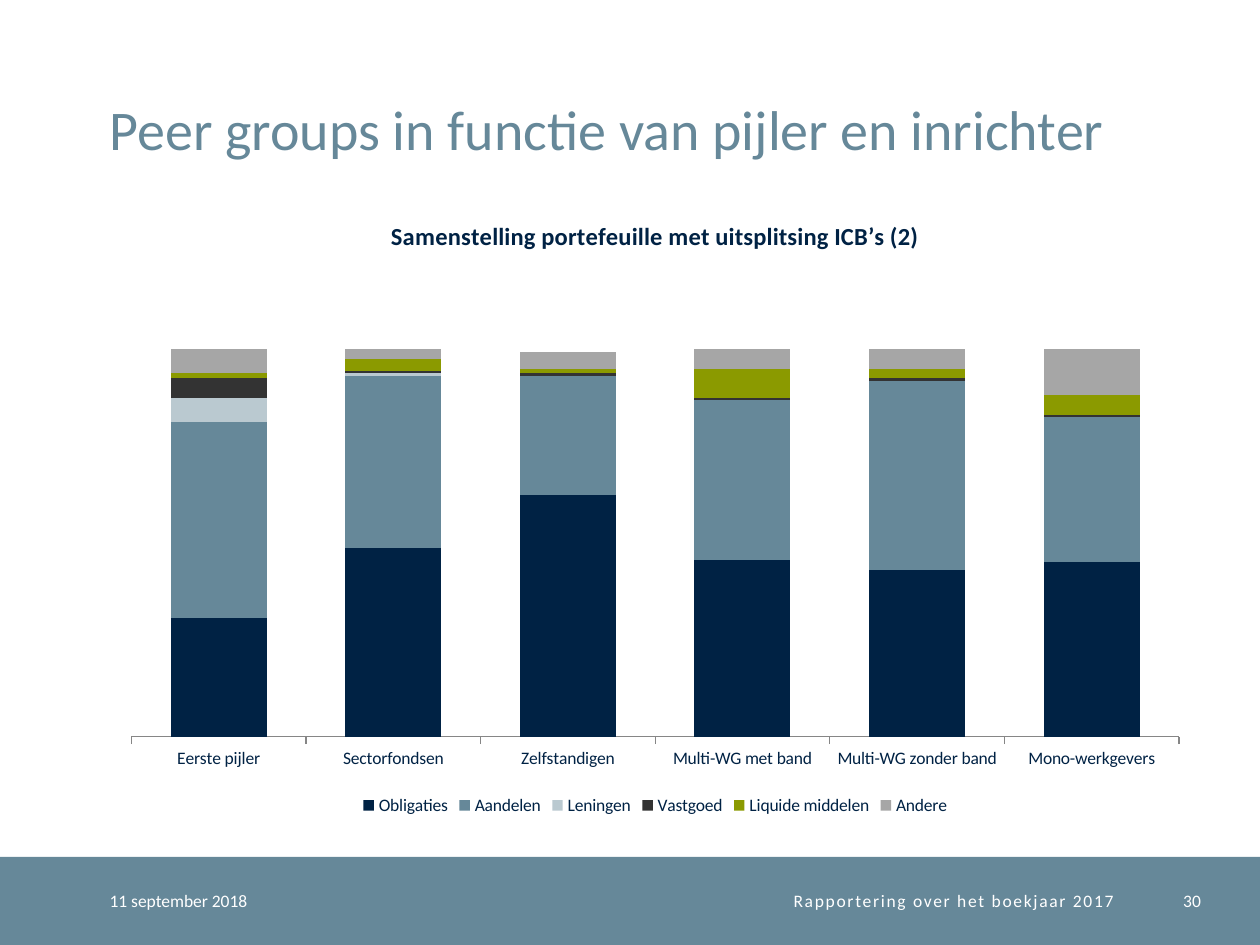
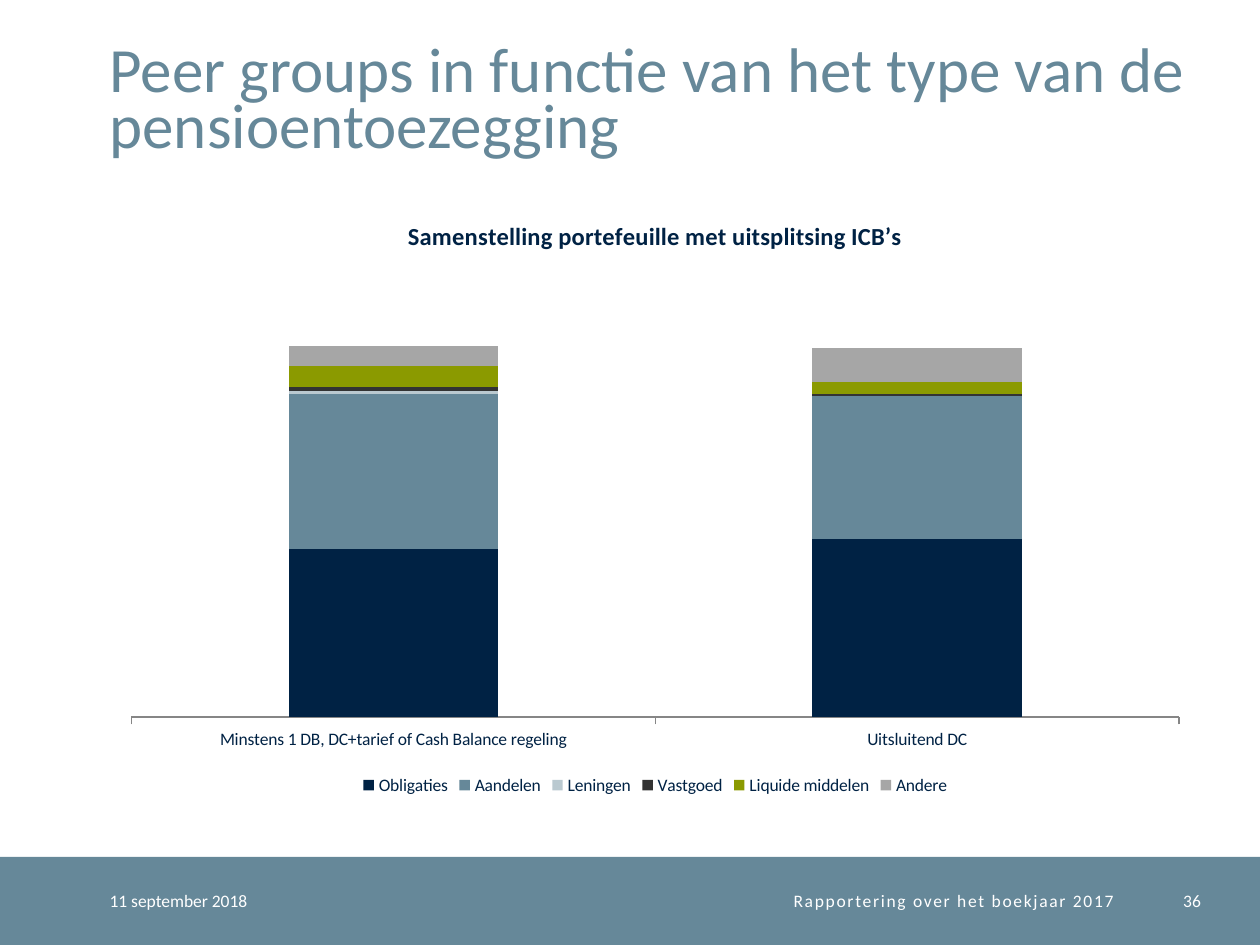
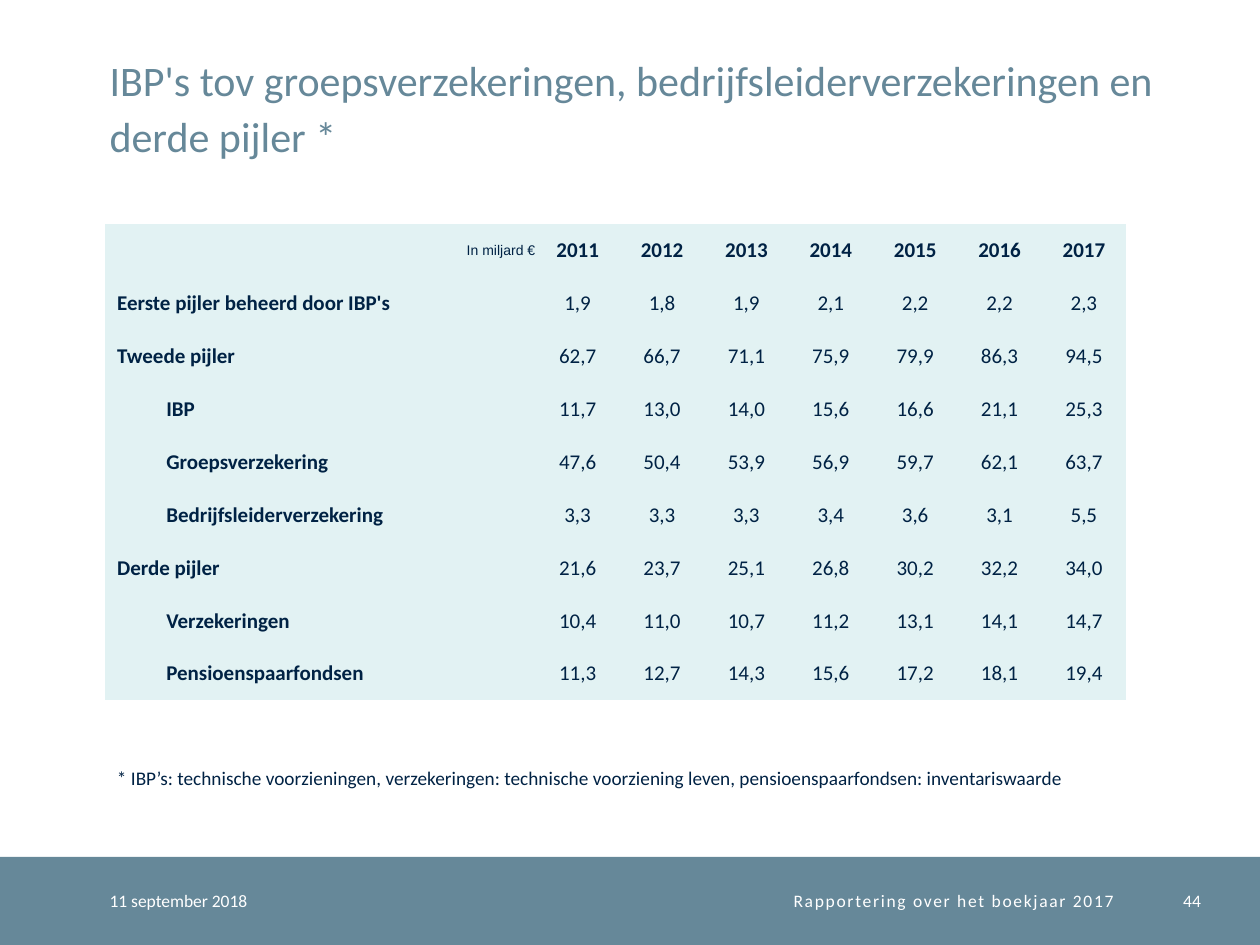
from dataclasses import dataclass

from pptx import Presentation
from pptx.chart.data import CategoryChartData
from pptx.dml.color import RGBColor
from pptx.enum.chart import XL_CHART_TYPE, XL_LEGEND_POSITION, XL_TICK_MARK
from pptx.enum.shapes import MSO_SHAPE
from pptx.enum.text import MSO_ANCHOR, PP_ALIGN
from pptx.util import Inches, Pt

LEFT, CENTER, RIGHT = PP_ALIGN.LEFT, PP_ALIGN.CENTER, PP_ALIGN.RIGHT
TOP, MIDDLE, BOTTOM = MSO_ANCHOR.TOP, MSO_ANCHOR.MIDDLE, MSO_ANCHOR.BOTTOM
STACKED = XL_CHART_TYPE.COLUMN_STACKED
LEGEND_BOTTOM = XL_LEGEND_POSITION.BOTTOM
TICK_OUTSIDE, TICK_NONE = XL_TICK_MARK.OUTSIDE, XL_TICK_MARK.NONE
RECTANGLE = MSO_SHAPE.RECTANGLE
NO_STYLE_NO_GRID = "{2D5ABB26-0587-4C30-8999-92F81FD0307C}"


@dataclass(frozen=True)
class Theme:
    font: str = "Calibri"
    unit_font: str = "Arial"
    navy: str = "002244"
    steel: str = "668899"
    white: str = "FFFFFF"
    axis: str = "868686"
    table_fill: str = "E2F2F3"
    footer_size: int = 10
    chart_size: int = 10
    chart_title_size: int = 14
    table_size: int = 12
    unit_size: int = 8
    note_size: int = 11
    title_leading: int = 32
    asset_colors: tuple = ("002244", "668899", "BAC9D0", "333333", "8B9A00", "A6A6A6")


ASSETS = ("Obligaties", "Aandelen", "Leningen", "Vastgoed", "Liquide middelen", "Andere")

PEERS_BY_ORGANISER = {
    "Eerste pijler": (49, 81, 10, 8, 2, 10),
    "Sectorfondsen": (78, 71, 1, 1, 5, 4),
    "Zelfstandigen": (100, 49, 0, 1, 2, 7),
    "Multi-WG met band": (73, 66, 0, 1, 12, 8),
    "Multi-WG zonder band": (69, 78, 0, 1, 4, 8),
    "Mono-werkgevers": (72, 60, 0, 1, 8, 19),
}
PEERS_BY_PLEDGE = {
    "Minstens 1 DB, DC+tarief of Cash Balance regeling": (94, 87, 2, 2, 12, 11),
    "Uitsluitend DC": (100, 80, 0, 1, 7, 19),
}

YEARS = range(2011, 2018)
# Label, indent level, amounts per year
PILLARS = (
    ("Eerste pijler beheerd door IBP's", 0, "1,9 1,8 1,9 2,1 2,2 2,2 2,3"),
    ("Tweede pijler", 0, "62,7 66,7 71,1 75,9 79,9 86,3 94,5"),
    ("IBP", 1, "11,7 13,0 14,0 15,6 16,6 21,1 25,3"),
    ("Groepsverzekering", 1, "47,6 50,4 53,9 56,9 59,7 62,1 63,7"),
    ("Bedrijfsleiderverzekering", 1, "3,3 3,3 3,3 3,4 3,6 3,1 5,5"),
    ("Derde pijler", 0, "21,6 23,7 25,1 26,8 30,2 32,2 34,0"),
    ("Verzekeringen", 1, "10,4 11,0 10,7 11,2 13,1 14,1 14,7"),
    ("Pensioenspaarfondsen", 1, "11,3 12,7 14,3 15,6 17,2 18,1 19,4"),
)
INDENTS = (0.1, 0.49)


def rgb(color):
    return RGBColor.from_string(color)


class Deck:
    def __init__(self, theme):
        self.theme = theme
        self.prs = Presentation()
        self.prs.slide_width, self.prs.slide_height = Inches(10), Inches(7.5)
        self.slide = None

    def style(self, font, size, color, bold=False, name=None):
        font.name = name or self.theme.font
        font.size, font.bold = Pt(size), bold
        font.color.rgb = rgb(color)

    def add_run(self, paragraph, text, size, color, align=LEFT, bold=False, name=None):
        paragraph.alignment = align
        run = paragraph.add_run()
        run.text = text
        self.style(run.font, size, color, bold, name)
        return run

    def text(self, box, text, size, color, align=LEFT, anchor=MIDDLE,
             inset=(0, 0), leading=None, spacing=None):
        frame = self.slide.shapes.add_textbox(*map(Inches, box)).text_frame
        frame.word_wrap, frame.vertical_anchor = True, anchor
        frame.margin_left = frame.margin_right = Inches(inset[0])
        frame.margin_top = frame.margin_bottom = Inches(inset[1])
        paragraph = frame.paragraphs[0]
        if leading:
            paragraph.line_spacing = Pt(leading)
        run = self.add_run(paragraph, text, size, color, align)
        if spacing:
            run._r.get_or_add_rPr().set("spc", str(spacing * 100))

    def band(self, box, color):
        band = self.slide.shapes.add_shape(RECTANGLE, *map(Inches, box))
        band.shadow.inherit = False
        band.fill.solid()
        band.fill.fore_color.rgb = rgb(color)
        band.line.fill.background()

    def new_slide(self, title, title_size, number):
        """Add a slide with its title and the shared footer."""
        theme = self.theme
        self.slide = self.prs.slides.add_slide(self.prs.slide_layouts[6])
        self.band((0, 6.8, 10, 0.7), theme.steel)
        self.text((0.87, 0.2, 8.63, 1.08), title, title_size, theme.steel,
                  anchor=BOTTOM, leading=theme.title_leading)
        for left, width, text, align, spacing in (
            (0.87, 1.77, "11 september 2018", LEFT, None),
            (2.64, 6.2, "Rapportering over het boekjaar 2017", RIGHT, 1),
            (9.04, 0.49, str(number), RIGHT, None),
        ):
            self.text((left, 6.8, width, 0.7), text, theme.footer_size, theme.white,
                      align, spacing=spacing)

    def portfolio_chart(self, title, peers, height, gap, axis_max):
        theme = self.theme
        data = CategoryChartData()
        data.categories = list(peers)
        for asset, values in zip(ASSETS, zip(*peers.values())):
            data.add_series(asset, values)
        box = map(Inches, (0.87, 1.55, 8.66, height))
        chart = self.slide.shapes.add_chart(STACKED, *box, data).chart
        self.style(chart.font, theme.chart_size, theme.navy)

        chart.has_title = True
        self.add_run(chart.chart_title.text_frame.paragraphs[0], title,
                     theme.chart_title_size, theme.navy, CENTER, bold=True)
        chart.chart_title.include_in_layout = False
        chart.has_legend = True
        chart.legend.position = LEGEND_BOTTOM
        chart.legend.include_in_layout = False

        amounts, groups = chart.value_axis, chart.category_axis
        amounts.visible = amounts.has_major_gridlines = False
        amounts.minimum_scale, amounts.maximum_scale = 0, axis_max
        groups.major_tick_mark, groups.minor_tick_mark = TICK_OUTSIDE, TICK_NONE
        groups.format.line.color.rgb = rgb(theme.axis)
        groups.format.line.width = Pt(0.75)

        plot = chart.plots[0]
        plot.gap_width, plot.overlap = gap, 100
        plot.vary_by_categories = False
        for series, color in zip(plot.series, theme.asset_colors):
            series.format.fill.solid()
            series.format.fill.fore_color.rgb = rgb(color)

    def cell(self, cell, text, align=CENTER, bold=False, indent=0, size=None, name=None):
        cell.fill.solid()
        cell.fill.fore_color.rgb = rgb(self.theme.table_fill)
        cell.vertical_anchor = MIDDLE
        cell.margin_left = cell.margin_right = cell.margin_top = cell.margin_bottom = 0
        paragraph = cell.text_frame.paragraphs[0]
        paragraph._p.get_or_add_pPr().set("marL", str(Inches(indent)))
        self.add_run(paragraph, text, size or self.theme.table_size, self.theme.navy,
                     align, bold, name)

    def pillar_table(self):
        theme = self.theme
        box = map(Inches, (0.83, 1.78, 8.11, 3.78))
        table = self.slide.shapes.add_table(len(PILLARS) + 1, len(YEARS) + 1, *box).table
        table.first_row = table.horz_banding = False
        table._tbl.tblPr[0].text = NO_STYLE_NO_GRID
        for column in table.columns:
            column.width = Inches(0.67)
        table.columns[0].width = Inches(3.42)

        self.cell(table.cell(0, 0), "In miljard €", RIGHT, indent=INDENTS[0],
                  size=theme.unit_size, name=theme.unit_font)
        for col, year in enumerate(YEARS, 1):
            self.cell(table.cell(0, col), str(year), bold=True)
        for row, (label, level, amounts) in enumerate(PILLARS, 1):
            self.cell(table.cell(row, 0), label, LEFT, bold=True, indent=INDENTS[level])
            for col, amount in enumerate(amounts.split(), 1):
                self.cell(table.cell(row, col), amount)


def main():
    theme = Theme()
    deck = Deck(theme)

    deck.new_slide("Peer groups in functie van pijler en inrichter", 32, 30)
    deck.portfolio_chart("Samenstelling portefeuille met uitsplitsing ICB’s (2)",
                         PEERS_BY_ORGANISER, height=4.96, gap=82, axis_max=192)

    deck.new_slide("Peer groups in functie van het type van de pensioentoezegging", 36, 36)
    deck.portfolio_chart("Samenstelling portefeuille met uitsplitsing ICB’s",
                         PEERS_BY_PLEDGE, height=4.8, gap=150, axis_max=250)

    deck.new_slide("IBP's tov groepsverzekeringen, bedrijfsleiderverzekeringen en "
                   "derde pijler *", 24, 44)
    deck.pillar_table()
    deck.text((0.83, 6.03, 8.35, 0.29),
              "* IBP’s: technische voorzieningen, verzekeringen: technische voorziening "
              "leven, pensioenspaarfondsen: inventariswaarde",
              theme.note_size, theme.navy, anchor=TOP, inset=(0.1, 0.05))

    deck.prs.save("out.pptx")


if __name__ == "__main__":
    main()
